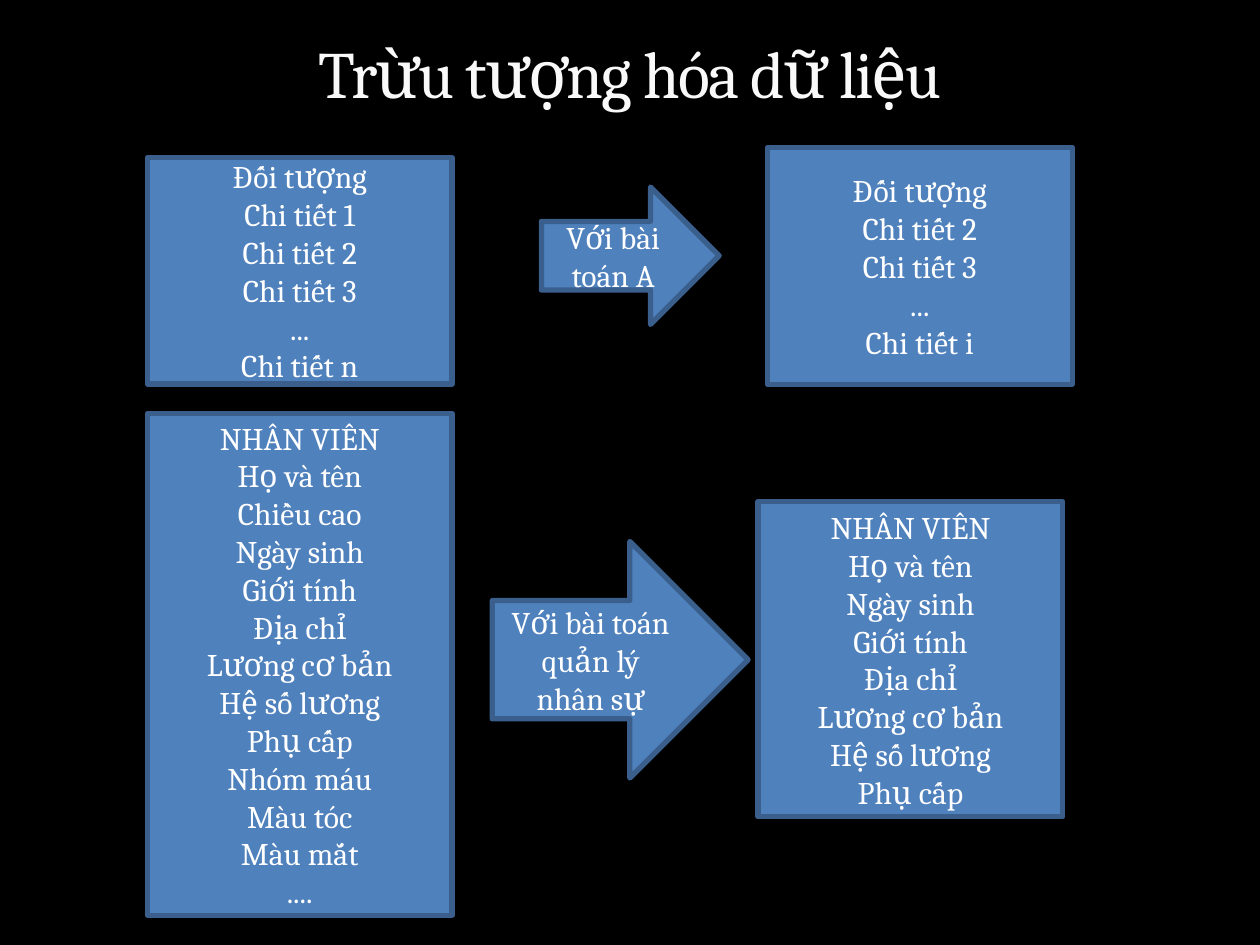
from lxml import etree
from pptx import Presentation
from pptx.dml.color import RGBColor
from pptx.enum.shapes import MSO_SHAPE as Preset
from pptx.enum.text import MSO_ANCHOR as Anchor, MSO_AUTO_SIZE as AutoSize, PP_ALIGN as Align
from pptx.oxml import parse_xml
from pptx.oxml.ns import nsdecls
from pptx.util import Pt

FONT = "Cambria"
BLUE, DARK_BLUE, WHITE = "4F81BD", "3A5F8C", "FFFFFF"
BOX_WIDTH = 174.2
LEFT_COLUMN = 84.2

GENERAL_OBJECT = ["Đối tượng", "Chi tiết 1", "Chi tiết 2", "Chi tiết 3", "...", "Chi tiết n"]
ABSTRACT_OBJECT = ["Đối tượng", "Chi tiết 2", "Chi tiết 3", "...", "Chi tiết i"]
FULL_EMPLOYEE = [
    "NHÂN VIÊN", "Họ và tên", "Chiều cao", "Ngày sinh", "Giới tính", "Địa chỉ",
    "Lương cơ bản", "Hệ số lương", "Phụ cấp", "Nhóm máu", "Màu tóc", "Màu mắt", "....",
]
ABSTRACT_EMPLOYEE = [
    "NHÂN VIÊN", "Họ và tên", "Ngày sinh", "Giới tính", "Địa chỉ",
    "Lương cơ bản", "Hệ số lương", "Phụ cấp",
]


def color(hex_string):
    return RGBColor.from_string(hex_string)


def set_background(slide, hex_string):
    fill = slide.background.fill
    fill.solid()
    fill.fore_color.rgb = color(hex_string)


def add_run(paragraph, text, size, hex_string):
    paragraph.alignment = Align.CENTER
    run = paragraph.add_run()
    run.text = text
    run.font.name = FONT
    run.font.size = Pt(size)
    run.font.color.rgb = color(hex_string)
    return run


def outline_text(run, hex_string, width, opacity):
    """Give the letters a thin outline; opacity is in percent."""
    outline = parse_xml(
        f'<a:ln {nsdecls("a")} w="{Pt(width)}"><a:solidFill><a:srgbClr val="{hex_string}">'
        f'<a:alpha val="{opacity * 1000}"/></a:srgbClr></a:solidFill></a:ln>'
    )
    run.font._element.insert(0, outline)


def add_title(slide, text):
    title = slide.shapes.title
    title.left, title.top, title.width, title.height = Pt(36), Pt(12), Pt(648), Pt(55.6)
    frame = title.text_frame
    frame.auto_size = AutoSize.NONE
    frame.vertical_anchor = Anchor.BOTTOM
    run = add_run(frame.paragraphs[0], text, 37.8, "F9F9F9")
    run.font._element.set("spc", "-100")
    outline_text(run, "1B406E", 0.25, 25)


def add_block(slide, preset, left, top, width, height, lines):
    shape = slide.shapes.add_shape(preset, Pt(left), Pt(top), Pt(width), Pt(height))
    shape.shadow.inherit = False
    shape.fill.solid()
    shape.fill.fore_color.rgb = color(BLUE)
    shape.line.color.rgb = color(DARK_BLUE)
    shape.line.width = Pt(3)
    frame = shape.text_frame
    frame.word_wrap = True
    frame.vertical_anchor = Anchor.MIDDLE
    for index, line in enumerate(lines):
        paragraph = frame.add_paragraph() if index else frame.paragraphs[0]
        add_run(paragraph, line, 18, WHITE)


def add_box(slide, left, top, height, lines):
    add_block(slide, Preset.RECTANGLE, left, top, BOX_WIDTH, height, lines)


def add_arrow(slide, left, top, width, height, label):
    add_block(slide, Preset.RIGHT_ARROW, left, top, width, height, [label])


def main():
    presentation = Presentation()
    presentation.slide_width, presentation.slide_height = Pt(720), Pt(540)
    slide = presentation.slides.add_slide(presentation.slide_layouts[5])
    set_background(slide, "000000")
    add_title(slide, "Trừu tượng hóa dữ liệu")

    add_box(slide, LEFT_COLUMN, 90, 129.4, GENERAL_OBJECT)
    add_arrow(slide, 309.4, 106.9, 101.6, 78.5, "Với bài toán A")
    add_box(slide, 438.5, 84.4, 135.2, ABSTRACT_OBJECT)

    add_box(slide, LEFT_COLUMN, 236.2, 286.8, FULL_EMPLOYEE)
    add_arrow(slide, 281.3, 309.4, 146.2, 135.2, "Với bài toán quản lý nhân sự")
    add_box(slide, 433.2, 286.8, 180, ABSTRACT_EMPLOYEE)

    presentation.save("out.pptx")


if __name__ == "__main__":
    main()
